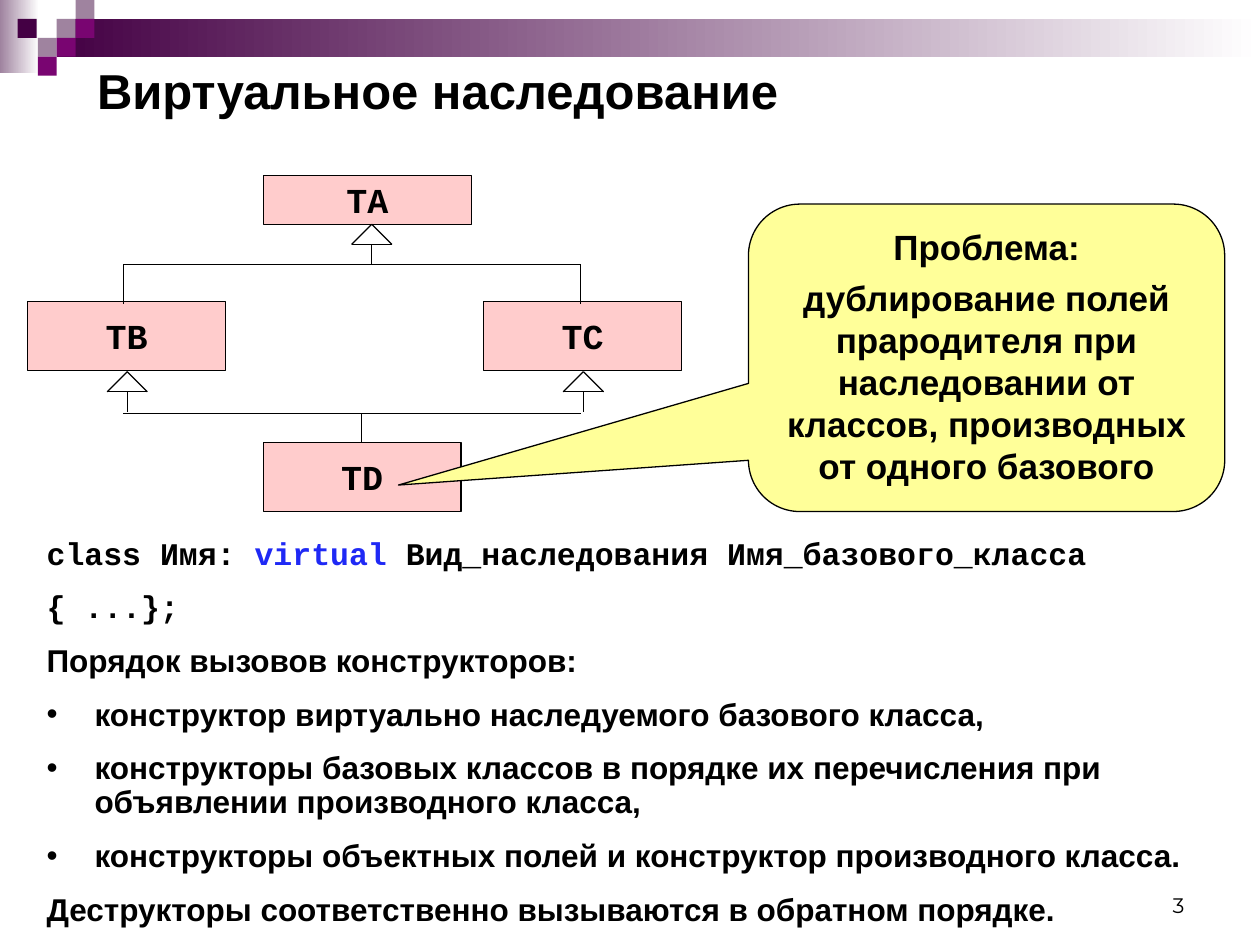
from dataclasses import dataclass

from lxml.etree import SubElement
from pptx import Presentation
from pptx.dml.color import RGBColor
from pptx.enum.shapes import MSO_CONNECTOR as Connector, MSO_SHAPE as Shape
from pptx.enum.text import MSO_ANCHOR as Anchor, MSO_AUTO_SIZE as AutoSize, PP_ALIGN as Align
from pptx.oxml.ns import qn
from pptx.util import Inches, Pt

COLORS = {
    "black": "000000", "white": "FFFFFF", "keyword": "1F29F5", "pink": "FFCCCC",
    "yellow": "FFFF99", "dark": "440044", "purple": "790571", "mauve": "9F839F",
}
TITLE_FONT, CODE_FONT, NUMBER_FONT = "Arial", "Courier New", "Montserrat"
TILE = 0.15


@dataclass
class ClassBox:
    name: str
    left: float
    top: float
    width: float = 1.57
    height: float = 0.55


@dataclass
class Tile:
    left: float
    top: float
    color: str


@dataclass
class Line:
    x1: float
    y1: float
    x2: float
    y2: float


@dataclass
class BodyLine:
    spans: list[tuple[str, str]]
    font: str = TITLE_FONT
    bullet: bool = False


CLASSES = [
    ClassBox("TA", 2.09, 1.39, 1.65, 0.39),
    ClassBox("TB", 0.22, 2.39),
    ClassBox("TC", 3.84, 2.39),
    ClassBox("TD", 2.09, 3.51),
]
TILES = [
    Tile(0.45, 0.15, "mauve"), Tile(0.6, 0, "mauve"), Tile(0.6, 0.15, "purple"),
    Tile(0.3, 0.3, "mauve"), Tile(0.14, 0.15, "dark"), Tile(0.45, 0.3, "purple"),
    Tile(0.3, 0.45, "purple"),
]
ARROW_TIPS = [(2.95, 1.78), (1.01, 2.95), (4.63, 2.95)]
BRANCHES = [
    Line(0.98, 2.1, 4.61, 2.1), Line(0.98, 2.41, 0.98, 2.1), Line(4.61, 2.41, 4.61, 2.1),
    Line(2.87, 3.51, 2.87, 3.28), Line(0.98, 3.28, 4.61, 3.28),
]
BODY = [
    BodyLine([("class Имя: ", "black"), ("virtual", "keyword"),
              (" Вид_наследования Имя_базового_класса", "black")], CODE_FONT),
    BodyLine([("{ ...};", "black")], CODE_FONT),
    BodyLine([("Порядок вызовов конструкторов:", "black")]),
    BodyLine([("конструктор виртуально наследуемого базового класса,", "black")], bullet=True),
    BodyLine([("конструкторы базовых классов в порядке их перечисления при "
               "объявлении производного класса,", "black")], bullet=True),
    BodyLine([("конструкторы объектных полей и конструктор производного класса.", "black")],
             bullet=True),
    BodyLine([("Деструкторы соответственно вызываются в обратном порядке.", "black")]),
]
CALLOUT = [
    "Проблема:",
    "дублирование полей прародителя при наследовании от классов, производных от одного базового",
]


def rgb(name: str) -> RGBColor:
    return RGBColor.from_string(COLORS[name])


def add_span(para, text: str, *, font: str = TITLE_FONT, size: float = 20,
             color: str = "black", bold: bool = True) -> None:
    span = para.add_run()
    span.text = text
    span.font.name, span.font.size, span.font.bold = font, Pt(size), bold
    span.font.color.rgb = rgb(color)


def place(box, left: float, top: float, width: float, height: float) -> None:
    box.left, box.top, box.width, box.height = map(Inches, (left, top, width, height))


def add_block(page, kind, left: float, top: float, width: float, height: float,
              color: str, *, fade: bool = False, outline: bool = False):
    box = page.shapes.add_shape(kind, *map(Inches, (left, top, width, height)))
    box.shadow.inherit = False
    if fade:
        box.fill.gradient()
        box.fill.gradient_angle = 0
        for stop, name in zip(box.fill.gradient_stops, (color, "white")):
            stop.color.rgb = rgb(name)
    else:
        box.fill.solid()
        box.fill.fore_color.rgb = rgb(color)
    if outline:
        box.line.color.rgb = rgb("black")
        box.line.width = Pt(0.75)
    else:
        box.line.fill.background()
    return box


def add_line(page, line: Line) -> None:
    ends = map(Inches, (line.x1, line.y1, line.x2, line.y2))
    connector = page.shapes.add_connector(Connector.STRAIGHT, *ends)
    connector.line.color.rgb = rgb("black")
    connector.line.width = Pt(0.75)
    SubElement(connector._element.spPr, qn("a:effectLst"))


def add_inheritance_arrow(page, x: float, y: float) -> None:
    half, base = 0.16, y + 0.16
    for line in (Line(x, base + 0.16, x, base), Line(x - half, base, x + half, base),
                 Line(x, y, x - half, base), Line(x, y, x + half, base)):
        add_line(page, line)


def add_class(page, item: ClassBox) -> None:
    box = add_block(page, Shape.RECTANGLE, item.left, item.top, item.width, item.height,
                    "pink", outline=True)
    frame = box.text_frame
    frame.word_wrap = False
    frame.vertical_anchor = Anchor.MIDDLE
    para = frame.paragraphs[0]
    para.alignment = Align.CENTER
    add_span(para, item.name, font=CODE_FONT)


def fill_body(box) -> None:
    frame = box.text_frame
    frame.word_wrap = True
    frame.auto_size = AutoSize.NONE
    for index, item in enumerate(BODY):
        para = frame.add_paragraph() if index else frame.paragraphs[0]
        props = para._p.get_or_add_pPr()
        props.set("marL", str(Inches(0.38)))
        props.set("indent", str(-Inches(0.38)))
        if item.bullet:
            SubElement(props, qn("a:buChar")).set("char", "•")
        else:
            SubElement(props, qn("a:buNone"))
        para.line_spacing = 0.9
        para.space_before = Pt(11.2 if index else 0)
        for text, color in item.spans:
            add_span(para, text, font=item.font, size=18, color=color)


def main() -> None:
    deck = Presentation()
    deck.slide_width, deck.slide_height = Inches(10), Inches(7.5)
    page = deck.slides.add_slide(deck.slide_layouts[1])

    # Header band and tiles
    add_block(page, Shape.RECTANGLE, 0, 0, 0.31, 0.58, "mauve", fade=True)
    add_block(page, Shape.RECTANGLE, 0.45, 0.15, 9.55, 0.3, "dark", fade=True)
    for tile in TILES:
        add_block(page, Shape.RECTANGLE, tile.left, tile.top, TILE, TILE, tile.color)

    # Title and body
    title, body = page.shapes.title, page.placeholders[1]
    place(title, 0.67, 0.44, 8.98, 0.55)
    title.text_frame.vertical_anchor = Anchor.MIDDLE
    title.text_frame.auto_size = AutoSize.NONE
    heading = title.text_frame.paragraphs[0]
    heading.alignment = Align.LEFT
    add_span(heading, "Виртуальное наследование", size=28)
    place(body, 0.27, 4.22, 9.73, 3.2)
    fill_body(body)

    # Class diagram
    for item in CLASSES:
        add_class(page, item)
    for x, y in ARROW_TIPS:
        add_inheritance_arrow(page, x, y)
    for line in BRANCHES:
        add_line(page, line)

    # Problem callout
    callout = add_block(page, Shape.ROUNDED_RECTANGULAR_CALLOUT, 5.94, 1.62, 3.78, 2.44,
                        "yellow", outline=True)
    for index, value in enumerate((-1.235, 0.414, 0.167)):
        callout.adjustments[index] = value
    frame = callout.text_frame
    frame.word_wrap = True
    frame.vertical_anchor = Anchor.TOP
    for index, text in enumerate(CALLOUT):
        para = frame.add_paragraph() if index else frame.paragraphs[0]
        para.alignment = Align.CENTER
        para.space_before = Pt(5 if index else 0)
        add_span(para, text)

    # Page number
    number = page.shapes.add_textbox(*map(Inches, (7.17, 6.83, 2.33, 0.5))).text_frame
    number.word_wrap = True
    number.vertical_anchor = Anchor.BOTTOM
    number.paragraphs[0].alignment = Align.RIGHT
    add_span(number.paragraphs[0], "3", font=NUMBER_FONT, size=12, bold=False)

    deck.save("out.pptx")


if __name__ == "__main__":
    main()
